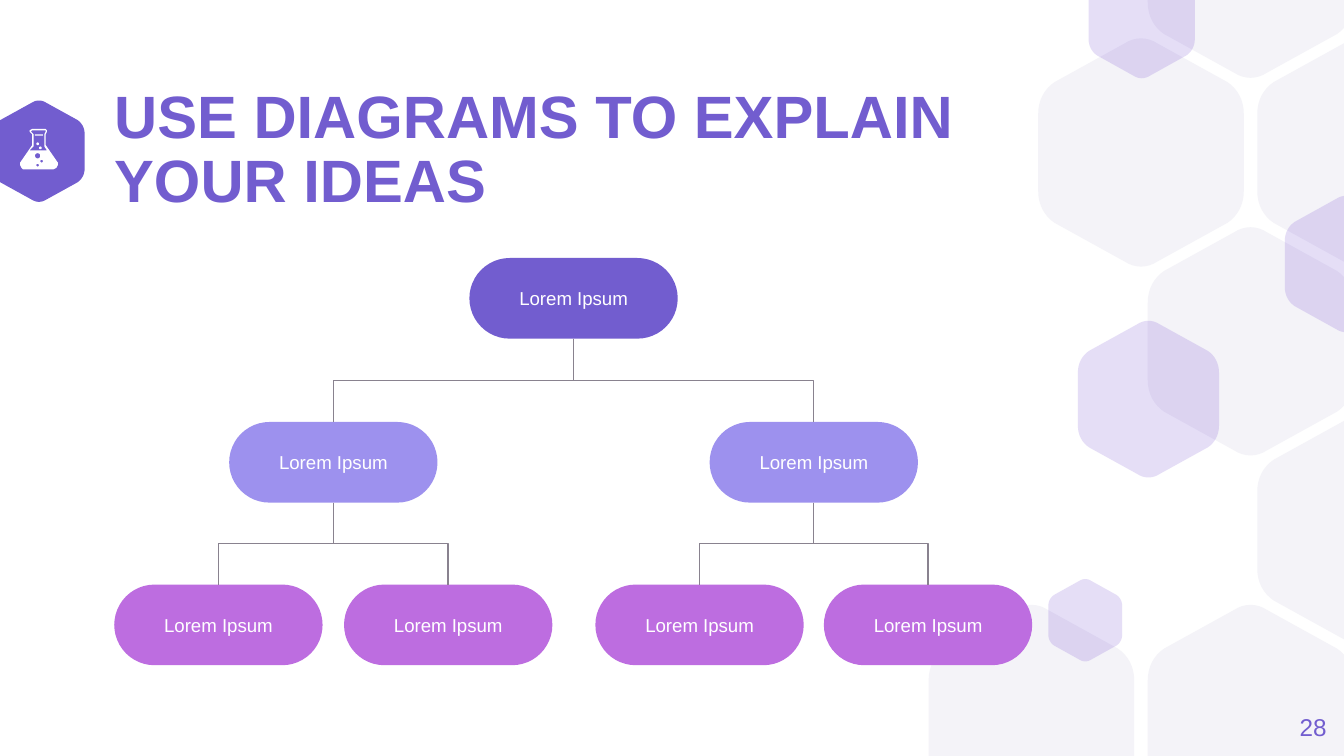
"""Build a tree diagram slide on a honeycomb background."""
import math

from lxml import etree
from pptx import Presentation, util as u
from pptx.dml.color import RGBColor
from pptx.enum import shapes, text
from pptx.oxml.ns import qn

COLORS = {"purple": "725DCF", "lilac": "9D91EE", "orchid": "BD6DE0", "pale": "F4F3F8",
          "violet": "5322C9", "gray": "89828F", "white": "FFFFFF"}
WIDTH, HEIGHT = 10, 10 * 9 / 16

TITLE = "USE DIAGRAMS TO EXPLAIN YOUR IDEAS"
PAGE_NUMBER = "28"
TREE = ("Lorem Ipsum", [
    ("Lorem Ipsum", [("Lorem Ipsum", []), ("Lorem Ipsum", [])]),
    ("Lorem Ipsum", [("Lorem Ipsum", []), ("Lorem Ipsum", [])]),
])
LEVELS = [(1.92, "purple"), (3.14, "lilac"), (4.35, "orchid")]
LEAF_LEFTS = [0.85, 2.56, 4.43, 6.13]
NODE_WIDTH, NODE_HEIGHT = 1.55, 0.6

CELLS = [(0, 3), (2, 3), (3, 0), (2, -1), (2, 1), (1, 0), (3, 2)]
CELL_SIZE, CELL_ORIGIN, CELL_STEP = (1.53, 1.69), (6.91, 0.29), (1.63 / 2, 2.81 / 2)
ACCENTS = [(9.56, 1.46, 0.91, 1.01), (7.8, 4.31, 0.55, 0.61),
           (8.1, -0.3, 0.79, 0.88), (8.02, 2.39, 1.05, 1.16)]
BADGE = (-0.05, 0.75, 0.68, 0.75)
CORNERS = [((1, 0.33), (1, 0.27), (0.97, 0.22), (0.92, 0.19)),
           ((0.58, 0.02), (0.53, -0.01), (0.47, -0.01), (0.42, 0.02)),
           ((0.08, 0.19), (0.03, 0.22), (0, 0.27), (0, 0.33))]

FLASK = [(0.24, 0.96), (0.34, 0.96), (0.35, 0.97), (0.35, 0.98), (0.34, 1), (0.34, 1.08),
         (0.43, 1.21), (0.43, 1.23), (0.42, 1.25), (0.4, 1.26), (0.17, 1.26), (0.16, 1.25),
         (0.15, 1.23), (0.15, 1.21), (0.24, 1.08), (0.24, 1), (0.22, 0.98), (0.22, 0.97)]
FLASK_NECK = [(0.24, 0.97), (0.34, 0.97), (0.34, 0.98), (0.33, 1), (0.33, 1.09), (0.35, 1.12),
              (0.22, 1.12), (0.25, 1.09), (0.25, 1), (0.23, 0.98)]
FLASK_HOLES = [(0.28, 1.16, 0.02), (0.31, 1.2, 0.01), (0.28, 1.23, 0.01)]
FLASK_DROPS = [("OVAL", 0.29, 1.09, 0.02, 0.02), ("OVAL", 0.27, 1.06, 0.02, 0.02),
               ("ROUNDED_RECTANGLE", 0.26, 1, 0.06, 0.01)]


def color(name):
    return RGBColor.from_string(COLORS[name])


def apply(target, values):
    for name, value in values.items():
        setattr(target, name, value)


def paint(shape, fill, alpha=None):
    shape.shadow.inherit = False
    shape.fill.solid()
    shape.fill.fore_color.rgb = color(fill)
    shape.line.fill.background()
    if alpha:
        tone = shape.fill._xPr.find(".//" + qn("a:srgbClr"))
        etree.SubElement(tone, qn("a:alpha"), val=str(alpha * 1000))


def write(shape, words, size, tint, align, inset=0, bold=False, spacing=1.0):
    frame = shape.text_frame
    margins = {f"margin_{side}": u.Inches(inset) for side in ("left", "right", "top", "bottom")}
    apply(frame, {"word_wrap": True, "vertical_anchor": text.MSO_ANCHOR.MIDDLE, **margins})
    para = frame.paragraphs[0]
    apply(para, {"alignment": align, "line_spacing": spacing})
    span = para.add_run()
    span.text = words
    apply(span.font, {"name": "Arial", "size": u.Pt(size), "bold": bold})
    span.font.color.rgb = color(tint)


def add_outline(page, contours, fill, alpha=None):
    contours = [[(u.Inches(x), u.Inches(y)) for x, y in points] for points in contours]
    builder = page.shapes.build_freeform(*contours[0][0], scale=1.0)
    builder.add_line_segments(contours[0][1:], close=True)
    for points in contours[1:]:
        builder.move_to(*points[0])
        builder.add_line_segments(points[1:], close=True)
    paint(builder.convert_to_shape(), fill, alpha)


def bezier(controls, steps=8):
    for step in range(steps + 1):
        t = step / steps
        weights = [math.comb(3, i) * t ** i * (1 - t) ** (3 - i) for i in range(4)]
        yield tuple(sum(w * c[axis] for w, c in zip(weights, controls)) for axis in (0, 1))


def add_hexagon(page, left, top, width, height, fill, alpha=None):
    half = [point for corner in CORNERS for point in bezier(corner)]
    unit = half + [(1 - x, 1 - y) for x, y in half]
    points = [(left + x * width, min(max(top + y * height, 0), HEIGHT)) for x, y in unit]
    add_outline(page, [points], fill, alpha)


def circle(x, y, radius, sides=16):
    angles = [2 * math.pi * i / sides for i in range(sides)]
    return [(x + radius * math.cos(a), y + radius * math.sin(a)) for a in angles]


def add_flask(page):
    add_outline(page, [FLASK, FLASK_NECK] + [circle(*hole) for hole in FLASK_HOLES], "white")
    for kind, *place in FLASK_DROPS:
        drop = page.shapes.add_shape(getattr(shapes.MSO_SHAPE, kind), *map(u.Inches, place))
        paint(drop, "white")


def add_branch(page, parent, child, start, end):
    middle_x, middle_y = (parent + child) / 2, (start + end) / 2
    drop, shift = (end - start) / 2, (child - parent) / 2
    ends = (middle_x - drop, middle_y + shift, middle_x + drop, middle_y - shift)
    branch = page.shapes.add_connector(shapes.MSO_CONNECTOR.ELBOW, *map(u.Inches, ends))
    branch.line.color.rgb = color("gray")
    branch.line.width = u.Pt(0.75)
    properties = branch._element.spPr
    properties.find(qn("a:xfrm")).set("rot", str(90 * 60000))
    etree.SubElement(properties, qn("a:effectLst"))


def add_node(page, node, lefts, level=0):
    label, children = node
    top, fill = LEVELS[level]
    centers = [add_node(page, child, lefts, level + 1) for child in children]
    center = sum(centers) / len(centers) if centers else next(lefts) + NODE_WIDTH / 2
    place = (center - NODE_WIDTH / 2, top, NODE_WIDTH, NODE_HEIGHT)
    box = page.shapes.add_shape(shapes.MSO_SHAPE.ROUNDED_RECTANGLE, *map(u.Inches, place))
    box.adjustments[0] = 0.5
    paint(box, fill)
    write(box, label, 10, "white", text.PP_ALIGN.CENTER, inset=0.1)
    for child in centers:
        add_branch(page, center, child, top + NODE_HEIGHT, LEVELS[level + 1][0])
    return center


def main():
    deck = Presentation()
    apply(deck, {"slide_width": u.Inches(WIDTH), "slide_height": u.Inches(HEIGHT)})
    page = deck.slides.add_slide(deck.slide_layouts[6])
    add_hexagon(page, *BADGE, "purple")
    for cell in CELLS:
        corner = [o + i * step for o, i, step in zip(CELL_ORIGIN, cell, CELL_STEP)]
        add_hexagon(page, *corner, *CELL_SIZE, "pale")
    for accent in ACCENTS:
        add_hexagon(page, *accent, "violet", alpha=15)
    title = page.shapes.add_textbox(*map(u.Inches, (0.85, 0.91, 6.57, 0.43)))
    write(title, TITLE, 32, "purple", text.PP_ALIGN.LEFT, bold=True, spacing=0.9)
    number = page.shapes.add_textbox(*map(u.Inches, (9.27, 5.19, 0.6, 0.43)))
    write(number, PAGE_NUMBER, 13, "purple", text.PP_ALIGN.RIGHT)
    add_flask(page)
    add_node(page, TREE, iter(LEAF_LEFTS))
    deck.save("out.pptx")


if __name__ == "__main__":
    main()
